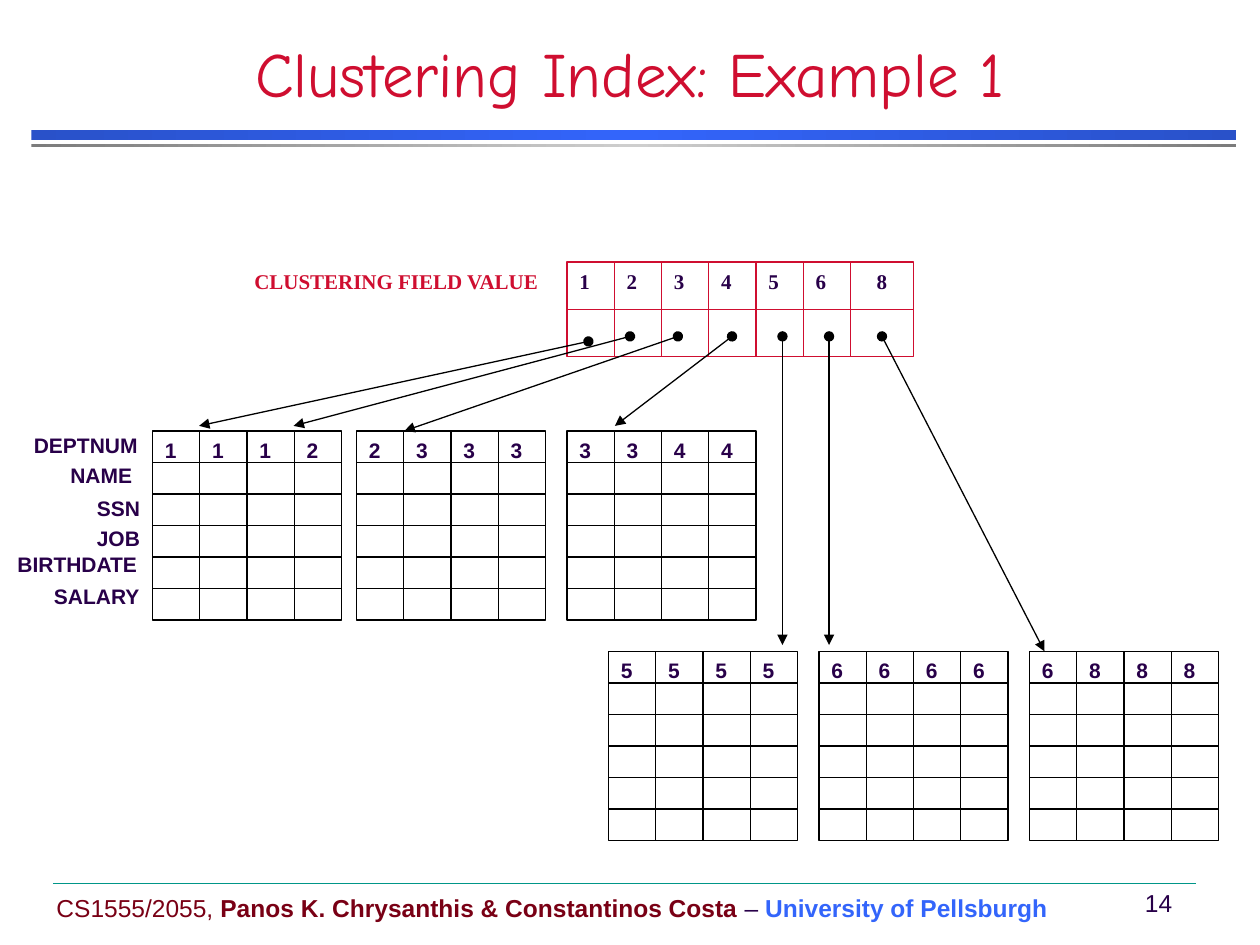
from copy import deepcopy

from lxml import etree
from pptx import Presentation
from pptx.dml.color import RGBColor
from pptx.enum.shapes import MSO_CONNECTOR, MSO_SHAPE
from pptx.enum.text import MSO_ANCHOR, PP_ALIGN
from pptx.oxml.ns import qn
from pptx.util import Inches, Pt

RECT = MSO_SHAPE.RECTANGLE
STRAIGHT = MSO_CONNECTOR.STRAIGHT
TOP, MIDDLE, BOTTOM = MSO_ANCHOR.TOP, MSO_ANCHOR.MIDDLE, MSO_ANCHOR.BOTTOM
LEFT, CENTER = PP_ALIGN.LEFT, PP_ALIGN.CENTER

RED, INK, BLACK = "CF0E30", "280049", "000000"
MAROON, BLUE, TEAL = "790015", "3365FB", "009688"
SERIF, SANS, HAND = "Times New Roman", "Arial", "Comic Neue"


def rgb(value):
    return RGBColor.from_string(value)


def set_format(target, values):
    for name, value in values.items():
        setattr(target, name, value)


class Diagram:
    """Holds the slide and its text and line style."""

    margins = {
        "margin_left": Inches(0.1), "margin_right": Inches(0.1),
        "margin_top": Inches(0.05), "margin_bottom": Inches(0.05),
    }
    line_width = 0.75

    def __init__(self, slide):
        self.shapes = slide.shapes

    def put_text(self, shape, runs, align=LEFT, anchor=TOP, wrap=True):
        """Fill a shape with one paragraph of (text, format) runs."""
        frame = shape.text_frame
        set_format(frame, self.margins)
        set_format(frame, {"word_wrap": wrap, "vertical_anchor": anchor})
        paragraph = frame.paragraphs[0]
        paragraph.alignment = align
        for text, size, font, color, bold in runs:
            run = paragraph.add_run()
            run.text = text
            set_format(run.font, {"size": Pt(size), "name": font, "bold": bold})
            run.font.color.rgb = rgb(color)

    def label(self, box, runs, **layout):
        self.put_text(self.shapes.add_textbox(*map(Inches, box)), runs, **layout)

    def rectangle(self, box):
        shape = self.shapes.add_shape(RECT, *map(Inches, box))
        shape.shadow.inherit = False
        return shape

    def cell(self, box, color, runs=(), align=LEFT):
        shape = self.rectangle(box)
        shape.fill.background()
        shape.line.color.rgb = rgb(color)
        shape.line.width = Pt(self.line_width)
        if runs:
            self.put_text(shape, runs, align)

    def band(self, box, edge, middle):
        """Horizontal bar that shades from edge to middle and back."""
        shape = self.rectangle(box)
        shape.line.fill.background()
        shape.fill.gradient()
        shape.fill.gradient_angle = 0
        stop_list = next(shape._element.iter(qn("a:gsLst")))
        stop_list.append(deepcopy(stop_list[0]))
        colors = (edge, middle, edge)
        for i, (stop, color) in enumerate(zip(shape.fill.gradient_stops, colors)):
            stop.position = i / 2
            stop.color.rgb = rgb(color)

    def line(self, start, end, color=BLACK, width=line_width, pointer=False):
        connector = self.shapes.add_connector(STRAIGHT, *map(Inches, (*start, *end)))
        connector.line.color.rgb = rgb(color)
        connector.line.width = Pt(width)
        properties = connector._element.spPr
        if pointer:
            outline = properties.find(qn("a:ln"))
            for tag, kind in (("a:headEnd", "oval"), ("a:tailEnd", "triangle")):
                etree.SubElement(outline, qn(tag), type=kind)
        etree.SubElement(properties, qn("a:effectLst"))

    def block(self, left, top, values, step=1.5 / 4, row=0.25, rows=5):
        """Data block: a row of key values over an empty record grid."""
        for i, value in enumerate(values):
            self.cell((left + i * step, top, step, row), BLACK,
                      [(value, 12, SANS, INK, True)])
        width, height, body = step * len(values), row * rows, top + row
        self.cell((left, body, width, height), BLACK)
        for i in range(1, rows):
            y = body + i * row
            self.line((left, y), (left + width, y))
        for i in range(1, len(values)):
            x = left + i * step
            self.line((x, body), (x, body + height))


def main():
    prs = Presentation()
    prs.slide_width, prs.slide_height = Inches(10), Inches(7.5)
    diagram = Diagram(prs.slides.add_slide(prs.slide_layouts[6]))

    # Header bands and title
    diagram.band((0.25, 1.03, 9.56, 0.08), "2951C9", BLUE)
    diagram.band((0.25, 1.14, 9.56, 0.03), "7C7C7C", "CECECE")
    diagram.label((0.75, 0.17, 8.5, 0.75),
                  [("Clustering Index: Example 1", 36, HAND, RED, False)],
                  align=CENTER, anchor=BOTTOM)

    # Footer
    diagram.line((0.42, 7.01), (9.49, 7.01), TEAL, 0.25)
    diagram.label((0.35, 7.04, 8.5, 0.33), [
        ("CS1555/2055, ", 14, SANS, MAROON, False),
        ("Panos K. Chrysanthis & Constantinos Costa", 14, SANS, MAROON, True),
        (" – ", 14, SANS, INK, False),
        ("University of Pellsburgh", 14, SANS, BLUE, True),
    ], anchor=MIDDLE)
    diagram.label((8.95, 7, 0.49, 0.33), [("14", 14, SANS, INK, False)],
                  align=CENTER, anchor=MIDDLE, wrap=False)

    # Index: field values above their pointer cells
    diagram.label((1.92, 2.08, 2.62, 0.5),
                  [("CLUSTERING FIELD VALUE", 12, SERIF, RED, True)])
    index_left, index_top, index_step = 4.5, 2.08, 1.5 / 4
    for i, value in enumerate("1234568"):
        x = index_left + i * index_step
        width, align = (0.5, CENTER) if value == "8" else (index_step, LEFT)
        diagram.cell((x, index_top, width, index_step), RED,
                     [(value, 12, SERIF, INK, True)], align)
        diagram.cell((x, index_top + index_step, width, index_step), RED)

    # Record field names
    fields = {
        "DEPTNUM": (0.17, 3.38), "NAME": (0.46, 3.62), "SSN": (0.67, 3.88),
        "JOB": (0.67, 4.12), "BIRTHDATE": (0.04, 4.33), "SALARY": (0.33, 4.58),
    }
    for field, place in fields.items():
        diagram.label((*place, 1.25, 0.25), [(field, 12, SANS, INK, True)])

    # Data blocks
    upper, lower = 3.42, 5.17
    blocks = [
        (1.21, upper, "1112"), (2.83, upper, "2333"), (4.5, upper, "3344"),
        (4.83, lower, "5555"), (6.5, lower, "6666"), (8.17, lower, "6888"),
    ]
    for left, top, values in blocks:
        diagram.block(left, top, values)

    # Pointers from the index to the blocks
    pointers = [
        ((4.67, 2.71), (1.58, 3.38)), ((5, 2.67), (2.33, 3.38)),
        ((5.38, 2.67), (3.21, 3.42)), ((5.81, 2.67), (4.88, 3.38)),
        ((6.21, 2.67), (6.21, 5.12)), ((6.58, 2.67), (6.58, 5.12)),
        ((7, 2.67), (8.29, 5.17)),
    ]
    for start, end in pointers:
        diagram.line(start, end, pointer=True)

    prs.save("out.pptx")


if __name__ == "__main__":
    main()
